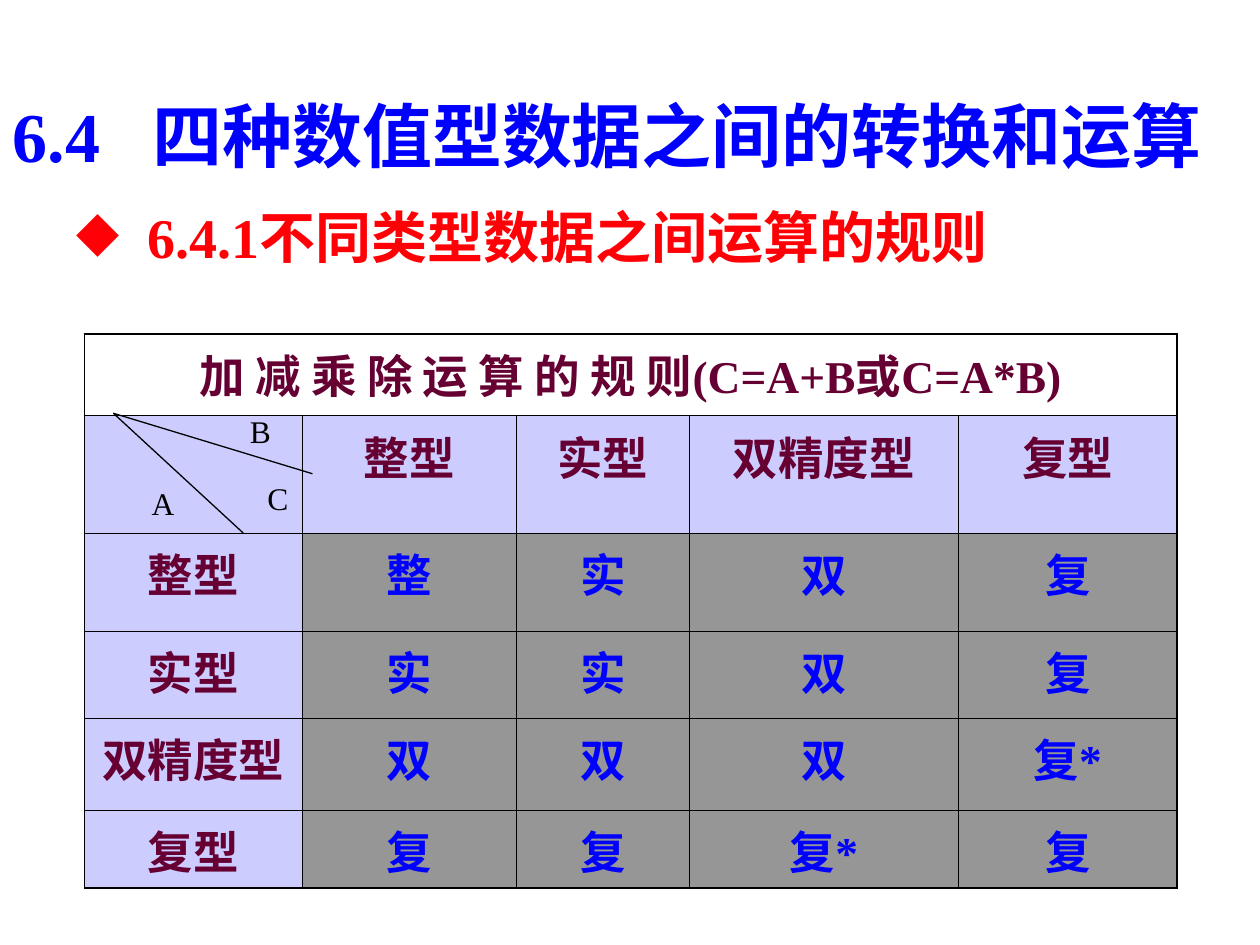
"""Build the slide on arithmetic between four numeric types."""
from lxml import etree
from pptx import Presentation
from pptx.dml.color import RGBColor
from pptx.enum import shapes, text
from pptx.oxml.ns import qn
from pptx.util import Inches, Pt

HUES = {"blue": "0000FF", "red": "FF0006", "plum": "660033", "black": "000000",
        "lilac": "CCCCFF", "gray": "969696"}
FONT = "Times New Roman"
TITLE = "6.4\t四种数值型数据之间的转换和运算"
TOPIC = "6.4.1不同类型数据之间运算的规则"
RULE = "加 减 乘 除 运 算 的 规 则(C=A+B或C=A*B)"
TYPES = ["整型", "实型", "双精度型", "复型"]
SUMS = [["整", "实", "双", "复"],
        ["实", "实", "双", "复"],
        ["双", "双", "双", "复*"],
        ["复", "复", "复*", "复"]]
COLS = [1.73, 1.7, 1.37, 2.14, 1.73]
ROWS = [0.65, 0.93, 0.78, 0.69, 0.73, 0.62]
LABELS = [("A", shapes.MSO_SHAPE.RIGHT_TRIANGLE, (0.9, 3.28, 1.18, 0.95)),
          ("B", shapes.MSO_SHAPE.ISOSCELES_TRIANGLE, (0.83, 3.28, 1.65, 0.55)),
          ("C", None, (1.93, 3.76, 0.55, 0.39))]
START = (0.9, 3.28)
ENDS = [(1.93, 4.23), (2.48, 3.76)]


def hue(name):
    return RGBColor.from_string(HUES[name])


def sub(node, tag, **attrs):
    return etree.SubElement(node, qn(tag), attrs)


def write(frame, words, size, color, bold=True, align=text.PP_ALIGN.CENTER):
    para = frame.paragraphs[0]
    para.text = words
    para.alignment = align
    font = para.font
    font.name, font.size, font.bold = FONT, Pt(size), bold
    font.color.rgb = hue(color)


def add_title(slide):
    title = slide.shapes.title
    title.left, title.top, title.width, title.height = map(Inches, (0, 0.44, 10, 1.25))
    frame = title.text_frame
    frame.auto_size = text.MSO_AUTO_SIZE.NONE
    frame.vertical_anchor = text.MSO_ANCHOR.MIDDLE
    tabs = sub(frame.paragraphs[0]._p.get_or_add_pPr(), "a:tabLst")
    sub(tabs, "a:tab", pos=str(Inches(1.11)), algn="l")
    write(frame, TITLE, 40, "blue", align=text.PP_ALIGN.LEFT)


def add_topic(slide):
    box = slide.shapes.add_textbox(*map(Inches, (0.51, 1.62, 8.19, 0.79)))
    frame = box.text_frame
    frame.word_wrap = True
    para = frame.paragraphs[0]
    para.line_spacing = 0.9
    props = para._p.get_or_add_pPr()
    props.set("marL", str(Inches(0.56)))
    props.set("indent", str(-Inches(0.56)))
    sub(sub(props, "a:buClr"), "a:srgbClr", val=HUES["red"])
    sub(props, "a:buChar", char="◆")
    write(frame, TOPIC, 32, "red", align=text.PP_ALIGN.LEFT)


def border(cell, row, col):
    thick = {"L": col == 0, "R": col == len(COLS) - 1 or row == 0,
             "T": row == 0, "B": row == len(ROWS) - 1}
    props = cell._tc.get_or_add_tcPr()
    for side, heavy in thick.items():
        line = sub(props, "a:ln" + side, w=str(Pt(1.08 if heavy else 0.45)))
        sub(sub(line, "a:solidFill"), "a:srgbClr", val=HUES["black"])


def add_grid(slide):
    spot = map(Inches, (0.67, 2.65, sum(COLS), sum(ROWS)))
    table = slide.shapes.add_table(len(ROWS), len(COLS), *spot).table
    for part, size in zip([*table.columns], COLS):
        part.width = Inches(size)
    for part, size in zip([*table.rows], ROWS):
        part.height = Inches(size)
    table.cell(0, 0).merge(table.cell(0, len(COLS) - 1))
    body = [[kind] + line for kind, line in zip(TYPES, SUMS)]
    grid = [[RULE] + [""] * len(TYPES), [""] + TYPES] + body
    for r, line in enumerate(grid):
        for c, words in enumerate(line):
            cell = table.cell(r, c)
            border(cell, r, c)
            inner = r > 1 and c > 0
            if r == 0:
                cell.fill.background()
            else:
                cell.fill.solid()
                cell.fill.fore_color.rgb = hue("gray" if inner else "lilac")
            if words:
                write(cell.text_frame, words, 26, "blue" if inner else "plum")


def add_corner(slide):
    for words, kind, spot in LABELS:
        place = map(Inches, spot)
        if kind is None:
            shape = slide.shapes.add_textbox(*place)
        else:
            shape = slide.shapes.add_shape(kind, *place)
            shape.shadow.inherit = False
            shape.fill.background()
            shape.line.fill.background()
        frame = shape.text_frame
        frame.word_wrap = False
        frame.vertical_anchor = text.MSO_ANCHOR.MIDDLE
        if kind == shapes.MSO_SHAPE.ISOSCELES_TRIANGLE:
            shape.adjustments[0] = 0
            form = shape._element.spPr.find(qn("a:xfrm"))
            form.set("flipH", "1")
            form.set("flipV", "1")
            frame._txBody.bodyPr.set("rot", "10800000")
        write(frame, words, 18, "black", bold=False)
    for end in ENDS:
        line = slide.shapes.add_connector(
            shapes.MSO_CONNECTOR.STRAIGHT, *map(Inches, START + end))
        line.line.width = Pt(0.75)
        line.line.color.rgb = hue("black")
        sub(line._element.spPr, "a:effectLst")


def main():
    deck = Presentation()
    deck.slide_width, deck.slide_height = Inches(10), Inches(7.5)
    slide = deck.slides.add_slide(deck.slide_layouts[5])
    for add in (add_title, add_topic, add_grid, add_corner):
        add(slide)
    deck.save("out.pptx")


if __name__ == "__main__":
    main()
